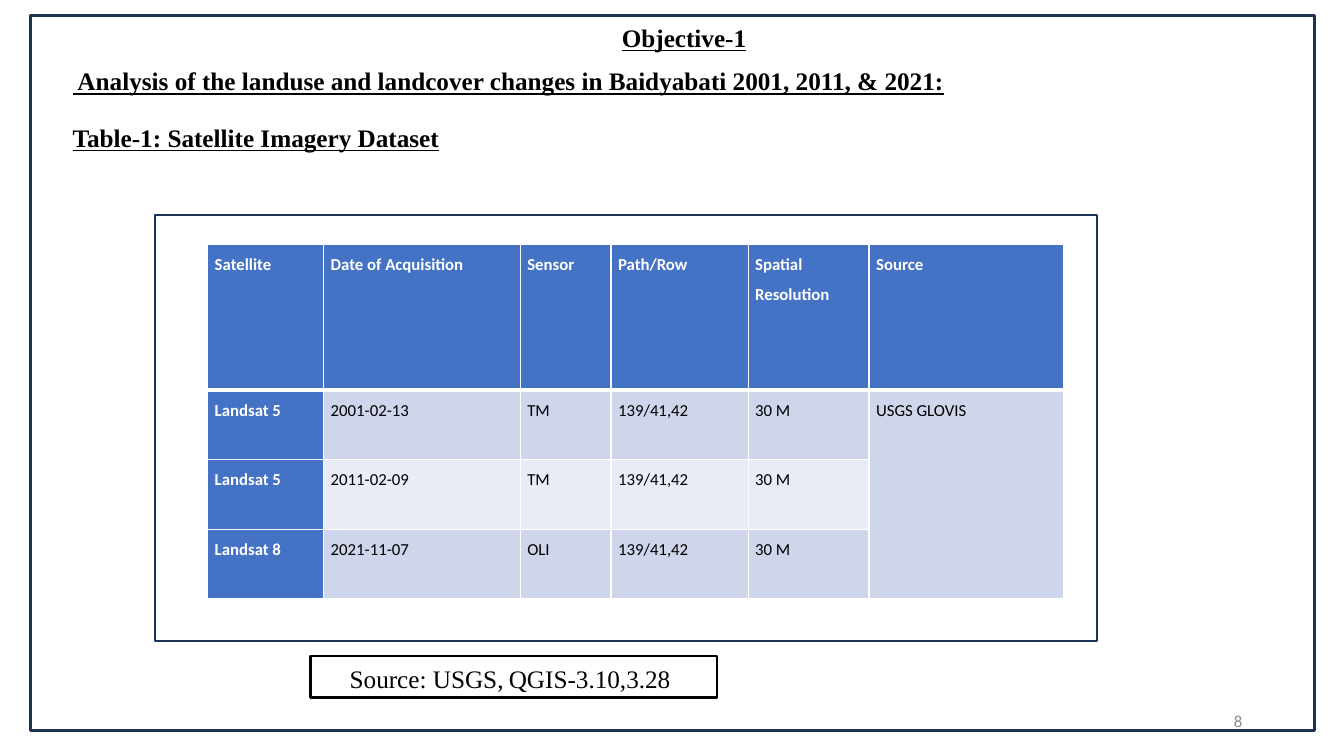
"""Build the satellite imagery dataset slide."""
from lxml import etree
from pptx import Presentation
from pptx.dml.color import RGBColor
from pptx.enum.shapes import MSO_SHAPE
from pptx.enum.text import MSO_ANCHOR, MSO_AUTO_SIZE, PP_ALIGN
from pptx.oxml.ns import qn
from pptx.util import Inches, Pt

RECT = MSO_SHAPE.RECTANGLE
TOP, MIDDLE = MSO_ANCHOR.TOP, MSO_ANCHOR.MIDDLE
GROW = MSO_AUTO_SIZE.SHAPE_TO_FIT_TEXT
CENTER, RIGHT, JUSTIFY = PP_ALIGN.CENTER, PP_ALIGN.RIGHT, PP_ALIGN.JUSTIFY
NAVY = RGBColor(0x1E, 0x32, 0x56)
BLUE = RGBColor(0x44, 0x72, 0xC4)
PALE = RGBColor(0xCF, 0xD5, 0xEA)
LIGHT = RGBColor(0xE9, 0xEB, 0xF5)
GRAY = RGBColor(0x8C, 0x8C, 0x8C)
BLACK = RGBColor(0, 0, 0)
WHITE = RGBColor(255, 255, 255)
SERIF, SANS = "Times New Roman", "Calibri"


def write(para, text, font=SERIF, size=18, color=BLACK, bold=False,
          under=False, align=JUSTIFY, lead=1.07, after=8):
    para.alignment = align
    para.line_spacing = lead
    para.space_after = Pt(after)
    run = para.add_run()
    run.text = text
    run.font.name = font
    run.font.size = Pt(size)
    run.font.color.rgb = color
    run.font.bold = bold
    run.font.underline = under


def frame(left, top, width, height, color, weight):
    box = slide.shapes.add_shape(
        RECT, Inches(left), Inches(top), Inches(width), Inches(height))
    box.shadow.inherit = False
    box.fill.background()
    box.line.color.rgb = color
    box.line.width = Pt(weight)
    return box


deck = Presentation()
deck.slide_width, deck.slide_height = Inches(13.33), Inches(7.5)
slide = deck.slides.add_slide(deck.slide_layouts[5])

page = slide.shapes.add_textbox(
    Inches(9.42), Inches(6.95), Inches(3), Inches(0.4)).text_frame
page.word_wrap = True
page.vertical_anchor = MIDDLE
write(page.paragraphs[0], "8", font=SANS, size=12, color=GRAY,
      align=RIGHT, lead=1, after=0)

frame(0.3, 0.15, 12.74, 7.1, NAVY, 2.25)

title = slide.shapes.title
title.left, title.top = Inches(0.62), Inches(0.15)
title.width, title.height = Inches(12.33), Inches(1.38)
head = title.text_frame
head.word_wrap = True
head.auto_size = GROW
head.vertical_anchor = TOP
lines = [
    ("Objective-1", CENTER, 1.07),
    (" Analysis of the landuse and landcover changes in Baidyabati "
     "2001, 2011, & 2021:", JUSTIFY, 1.07),
    ("Table-1: Satellite Imagery Dataset", JUSTIFY, 1.5),
]
for i, (text, align, lead) in enumerate(lines):
    para = head.add_paragraph() if i else head.paragraphs[0]
    write(para, text, bold=True, under=True, align=align, lead=lead)

rows = [
    ["Satellite", "Date of Acquisition", "Sensor", "Path/Row",
     "Spatial Resolution", "Source"],
    ["Landsat 5", "2001-02-13", "TM", "139/41,42", "30 M", "USGS GLOVIS"],
    ["Landsat 5", "2011-02-09", "TM", "139/41,42", "30 M", ""],
    ["Landsat 8", "2021-11-07", "OLI", "139/41,42", "30 M", ""],
]
widths = [1.15, 1.95, 0.9, 1.36, 1.2, 1.93]
heights = [1.45, 0.69, 0.69, 0.69]
table = slide.shapes.add_table(
    len(rows), len(widths), Inches(2.06), Inches(2.42),
    Inches(sum(widths)), Inches(sum(heights))).table
for col, width in zip(table.columns, widths):
    col.width = Inches(width)
for row, height in zip(table.rows, heights):
    row.height = Inches(height)
table.cell(1, 5).merge(table.cell(3, 5))

for r, row in enumerate(rows):
    for c, text in enumerate(row):
        cell = table.cell(r, c)
        key = r == 0 or c == 0
        cell.margin_left = cell.margin_right = Inches(0.07)
        cell.margin_top = cell.margin_bottom = 0
        props = cell._tc.get_or_add_tcPr()
        for side in ("L", "R", "T", "B"):
            thick = (r, side) in ((0, "B"), (1, "T"))
            edge = etree.SubElement(props, qn("a:ln" + side),
                                    w=str(Pt(3 if thick else 1)))
            fill = etree.SubElement(edge, qn("a:solidFill"))
            etree.SubElement(fill, qn("a:srgbClr"), val=str(WHITE))
        cell.fill.solid()
        cell.fill.fore_color.rgb = BLUE if key else PALE if r % 2 else LIGHT
        if text:
            write(cell.text_frame.paragraphs[0], text, font=SANS, size=12,
                  color=WHITE if key else BLACK, bold=key, lead=1.5)

frame(1.54, 2.13, 9.34, 4.23, NAVY, 1.5)

note = frame(3.08, 6.51, 4.03, 0.41, BLACK, 1.5).text_frame
note.word_wrap = True
note.auto_size = GROW
note.vertical_anchor = TOP
para = note.paragraphs[0]
para._p.get_or_add_pPr().set("marL", str(Inches(0.29)))
write(para, "Source: USGS,")
write(para, " ", font=SANS, size=16)
write(para, "QGIS-3.10,3.28")

deck.save("out.pptx")
